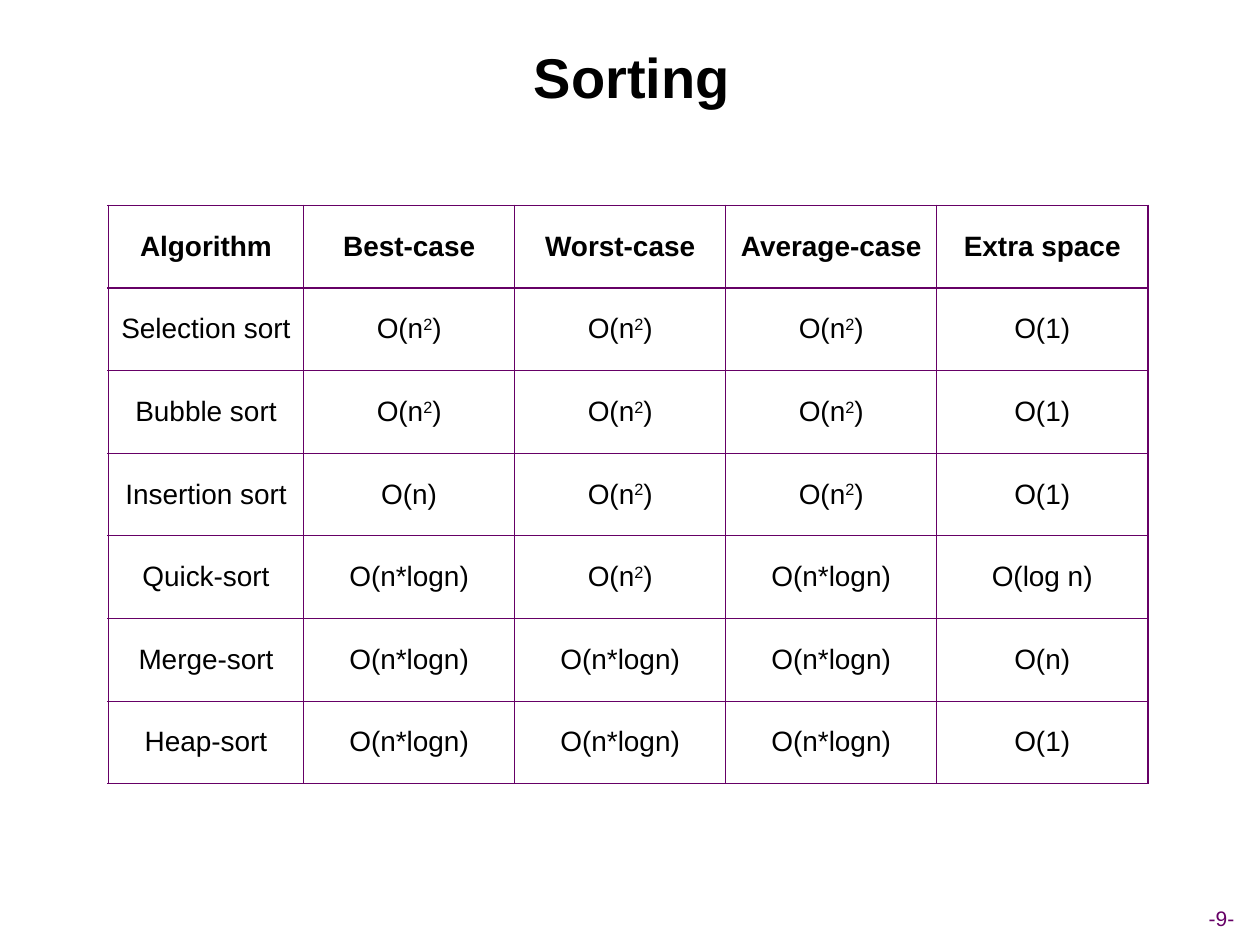
from lxml.etree import SubElement
from pptx import Presentation
from pptx.dml.color import RGBColor
from pptx.enum.text import MSO_ANCHOR, PP_ALIGN
from pptx.oxml.ns import qn
from pptx.util import Inches, Pt

COLORS = {"text": "000000", "accent": "660066"}
FONT = "Arial"
THIN, THICK = Pt(0.45), Pt(1.08)

SQUARE, LINEARITHMIC = "O(n^2)", "O(n*logn)"
SORTING_COSTS = [
    ["Algorithm", "Best-case", "Worst-case", "Average-case", "Extra space"],
    ["Selection sort", SQUARE, SQUARE, SQUARE, "O(1)"],
    ["Bubble sort", SQUARE, SQUARE, SQUARE, "O(1)"],
    ["Insertion sort", "O(n)", SQUARE, SQUARE, "O(1)"],
    ["Quick-sort", LINEARITHMIC, SQUARE, LINEARITHMIC, "O(log n)"],
    ["Merge-sort", LINEARITHMIC, LINEARITHMIC, LINEARITHMIC, "O(n)"],
    ["Heap-sort", LINEARITHMIC, LINEARITHMIC, LINEARITHMIC, "O(1)"],
]


def style_paragraph(paragraph, size, color="text", bold=False):
    paragraph.alignment = PP_ALIGN.CENTER
    font = paragraph.font
    font.name, font.size, font.bold = FONT, Pt(size), bold
    font.color.rgb = RGBColor.from_string(COLORS[color])


def add_label(slide, box, text, size, color="text", bold=False, wrap=True):
    frame = slide.shapes.add_textbox(*map(Inches, box)).text_frame
    frame.word_wrap = wrap
    frame.vertical_anchor = MSO_ANCHOR.MIDDLE
    paragraph = frame.paragraphs[0]
    paragraph.text = text
    style_paragraph(paragraph, size, color, bold)


def write_cost(paragraph, cost):
    base, caret, rest = cost.partition("^")
    paragraph.add_run().text = base
    if caret:
        exponent = paragraph.add_run()
        exponent.text = rest[0]
        exponent._r.get_or_add_rPr().set("baseline", "30000")
        paragraph.add_run().text = rest[1:]


def set_borders(cell, widths):
    properties = cell._tc.get_or_add_tcPr()
    for side, width in zip("LRTB", widths):
        line = SubElement(properties, qn(f"a:ln{side}"), w=str(int(width)))
        fill = SubElement(line, qn("a:solidFill"))
        SubElement(fill, qn("a:srgbClr"), val=COLORS["accent"])


def add_cost_table(slide, box, first_width):
    left, top, width, height = box
    row_count, column_count = len(SORTING_COSTS), len(SORTING_COSTS[0])
    table = slide.shapes.add_table(
        row_count, column_count, *map(Inches, box)
    ).table
    table.horz_banding = False
    for index, column in enumerate(table.columns):
        other_width = (width - first_width) / (column_count - 1)
        column.width = Inches(other_width if index else first_width)
    for row in table.rows:
        row.height = Inches(height / row_count)

    for r, costs in enumerate(SORTING_COSTS):
        for c, cost in enumerate(costs):
            cell = table.cell(r, c)
            cell.vertical_anchor = MSO_ANCHOR.MIDDLE
            paragraph = cell.text_frame.paragraphs[0]
            write_cost(paragraph, cost)
            style_paragraph(paragraph, 16, bold=r == 0)
            thick_sides = (
                c == 0,
                c == column_count - 1,
                r <= 1,
                r in (0, row_count - 1),
            )
            set_borders(cell, [THICK if thick else THIN for thick in thick_sides])
            cell.fill.background()


def main():
    presentation = Presentation()
    presentation.slide_width = Inches(10)
    presentation.slide_height = Inches(7.5)
    slide = presentation.slides.add_slide(presentation.slide_layouts[6])
    add_label(slide, (9.16, 7.14, 1.07, 0.3), "-9-", 12, "accent", wrap=False)
    add_label(slide, (0.38, 0.13, 9.27, 0.95), "Sorting", 32, bold=True)
    add_cost_table(slide, (0.86, 1.63, 8.25, 4.59), first_width=1.55)
    presentation.save("out.pptx")


if __name__ == "__main__":
    main()
